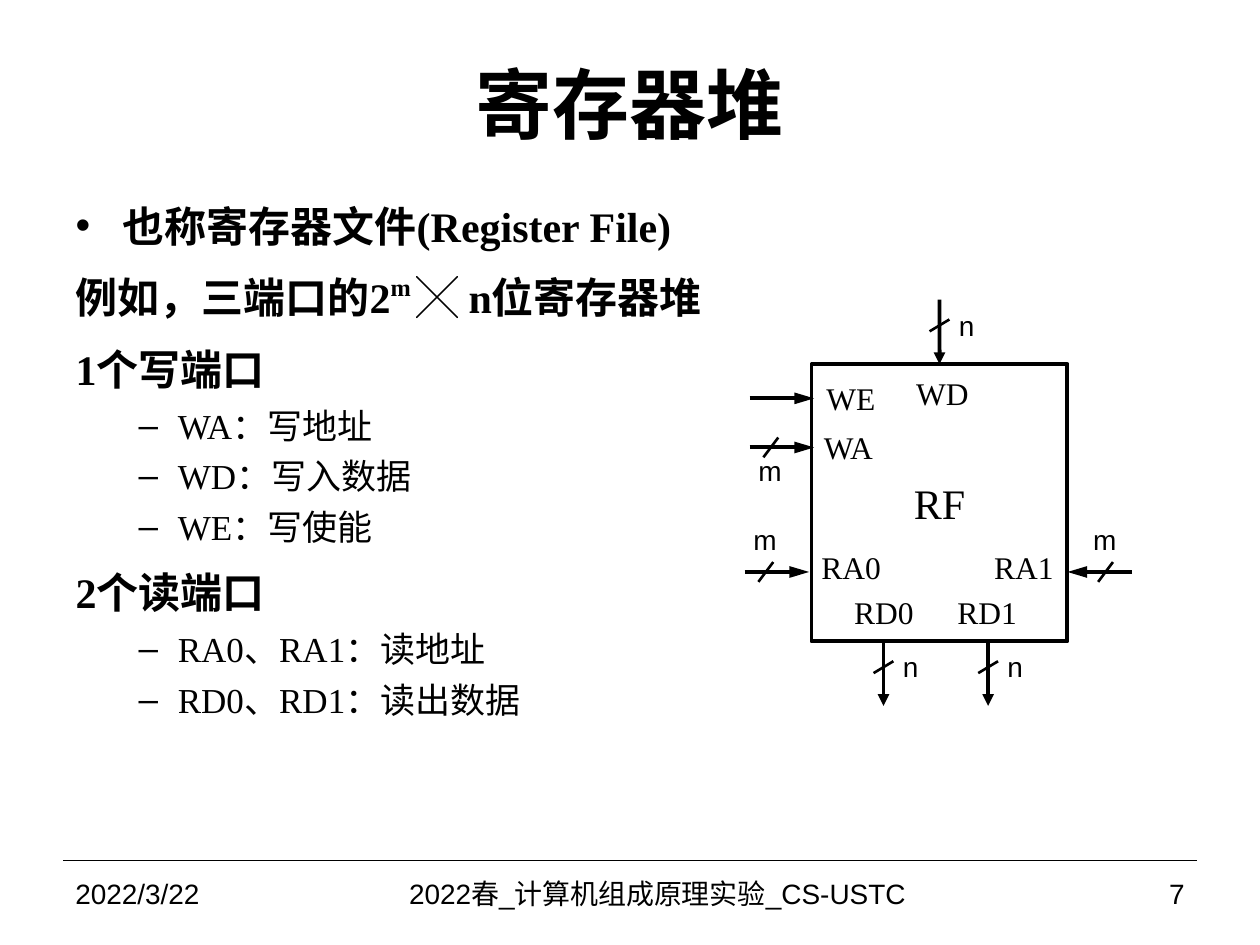
from lxml.etree import SubElement
from pptx import Presentation
from pptx.dml.color import RGBColor
from pptx.enum.shapes import MSO_CONNECTOR as CONN, MSO_SHAPE as SHAPE
from pptx.enum.text import MSO_ANCHOR as ANCHOR, MSO_AUTO_SIZE as AUTO, PP_ALIGN as ALIGN
from pptx.oxml.ns import qn
from pptx.util import Cm, Pt

BLACK = RGBColor(0, 0, 0)
SANS, SERIF, CJK = "Arial", "Times New Roman", "Noto Sans CJK SC"

BODY = [  # kind of line, then its runs
    ("bullet", ["也称寄存器文件(Register File)"]),
    ("plain", ["例如，三端口的2", "m ", "╳ ", "n位寄存器堆"]),
    ("plain", ["1个写端口"]),
    ("dash", ["WA：写地址"]),
    ("dash", ["WD：写入数据"]),
    ("dash", ["WE：写使能"]),
    ("plain", ["2个读端口"]),
    ("dash", ["RA0、RA1：读地址"]),
    ("dash", ["RD0、RD1：读出数据"]),
]
# level, bullet, size, left margin, hanging indent, space before, space after
STYLES = {
    "bullet": (0, "•", 24, 0.95, 0.95, 0, 6),
    "plain": (0, None, 24, 0.95, 0.95, 6, 6),
    "dash": (1, "–", 20, 2.06, 0.79, 0, 5),
}


def place(s, left, top, width, height):
    s.left, s.top, s.width, s.height = Cm(left), Cm(top), Cm(width), Cm(height)


def format_run(r, size, name, bold=False):
    r.font.size, r.font.name, r.font.bold = Pt(size), name, bold
    r.font.color.rgb = BLACK


def set_text(s, text, size, name, align=ALIGN.LEFT, bold=False):
    tf = s.text_frame
    tf.text = text
    p = tf.paragraphs[0]
    p.alignment = align
    format_run(p.runs[0], size, name, bold)
    return tf


def add_text(slide, box, text, size, name, align=ALIGN.LEFT):
    tf = set_text(slide.shapes.add_textbox(*map(Cm, box)), text, size, name, align)
    tf.word_wrap = False
    return tf


def clear_margins(tf):
    tf.margin_left = tf.margin_right = tf.margin_top = tf.margin_bottom = 0


def add_line(slide, x1, y1, x2, y2, width, arrow_length=None):
    s = slide.shapes.add_connector(CONN.STRAIGHT, Cm(x1), Cm(y1), Cm(x2), Cm(y2))
    s.line.color.rgb = BLACK
    s.line.width = Pt(width)
    if arrow_length:
        SubElement(s.line._get_or_add_ln(), qn("a:tailEnd"), type="triangle", len=arrow_length)
    SubElement(s._element.spPr, qn("a:effectLst"))
    return s


def add_title(slide, left, top, width, height):
    s = slide.shapes.title
    place(s, left, top, width, height)
    tf = set_text(s, "寄存器堆", 44, SANS, ALIGN.CENTER, True)
    tf.vertical_anchor = ANCHOR.MIDDLE
    tf.auto_size = AUTO.NONE


def style_paragraph(p, kind):
    level, bullet, size, margin, hanging, before, after = STYLES[kind]
    p.level = level
    p.space_before, p.space_after = Pt(before), Pt(after)
    pPr = p._p.get_or_add_pPr()
    pPr.set("marL", str(Cm(margin)))
    pPr.set("indent", str(-Cm(hanging)))
    if bullet:
        SubElement(pPr, qn("a:buFont"), typeface=SANS)
        SubElement(pPr, qn("a:buChar"), char=bullet)
    else:
        SubElement(pPr, qn("a:buNone"))
    for r in p.runs:
        format_run(r, size, CJK if "╳" in r.text else SERIF, level == 0)
        if r.text == "m ":
            r._r.get_or_add_rPr().set("baseline", "40000")


def add_body(slide, left, top, width, height):
    s = slide.placeholders[1]
    place(s, left, top, width, height)
    tf = s.text_frame
    tf.auto_size = AUTO.NONE
    for i, (kind, parts) in enumerate(BODY):
        p = tf.add_paragraph() if i else tf.paragraphs[0]
        for part in parts:
            p.add_run().text = part
        style_paragraph(p, kind)


def add_signal(slide, x1, y1, x2, y2, bits=None, at=0.4, label_dy=0.25):
    """Arrow, crossed at the fraction `at` by a slash that carries a bus width."""
    upright = x1 == x2
    arrow = add_line(slide, x1, y1, x2, y2, 2.25, "med" if upright else "lg")
    if bits:
        x, y = x1 + at * (x2 - x1), y1 + at * (y2 - y1)
        dx, dy = (0.2, 0.12) if upright else (0.15, 0.2)
        add_line(slide, x + dx, y - dy, x - dx, y + dy, 1.5)
        label = (x + 0.39, y1 + label_dy) if upright else (x - 0.25, y + label_dy)
        width = 0.32 if bits == "n" else 0.5
        tf = add_text(slide, (*label, width, 0.61), bits, 16, SANS)
        clear_margins(tf)
        tf.paragraphs[0].line_spacing = 0.9
    return arrow


def add_register_file(slide, left, top, width, height):
    block = slide.shapes.add_shape(SHAPE.RECTANGLE, *map(Cm, (left, top, width, height)))
    block.shadow.inherit = False
    block.fill.background()
    block.line.color.rgb = BLACK
    block.line.width = Pt(2.25)
    tf = set_text(block, "RF", 24, SERIF, ALIGN.CENTER)
    tf.vertical_anchor = ANCHOR.MIDDLE
    clear_margins(tf)

    ports = [
        ("RD0", 0.56, 4.5, ALIGN.CENTER),
        ("RD1", 2.64, 4.5, ALIGN.CENTER),
        ("WD", 1.74, 0.08, ALIGN.CENTER),
        ("WA", 0, 1.17, ALIGN.LEFT),
        ("RA0", -0.05, 3.58, ALIGN.LEFT),
        ("RA1", 3.33, 3.58, ALIGN.RIGHT),
        ("WE", 0.05, 0.18, ALIGN.LEFT),
    ]
    for name, x, y, align in ports:
        add_text(slide, (left + x, top + y, 1.8, 1.02), name, 18, SERIF, align)

    reach = 1.3
    right, bottom, middle = left + width, top + height, left + width / 2
    for x in (left + 1.45, left + 3.56):
        add_signal(slide, x, bottom, x, bottom + reach, "n")
    write_data = add_signal(slide, middle, top - reach, middle, top, "n")
    write_data.end_connect(block, 0)

    read_y = top + 4.19
    add_signal(slide, right + reach, read_y, right, read_y, "m", 0.41, -0.91)
    for x, y, bits, label_dy in [(-0.05, 4.19, "m", -0.91),
                                 (0.05, 1.68, "m", 0.2),
                                 (0.05, 0.69, None, 0)]:
        end = left + x
        add_signal(slide, end - reach, top + y, end, top + y, bits, 0.33, label_dy)


def add_footer(slide, left, top, width, height):
    add_line(slide, left, top, left + width, top, 0.75)
    x = left
    for text, w, align in [("2022/3/22", 5.92, ALIGN.LEFT),
                           ("2022春_计算机组成原理实验_CS-USTC ", 12.28, ALIGN.CENTER),
                           ("7", 4.66, ALIGN.RIGHT)]:
        tf = add_text(slide, (x, top, w, height), text, 16, SANS, align)
        tf.word_wrap = True
        tf.vertical_anchor = ANCHOR.MIDDLE
        x += w


def main():
    prs = Presentation()
    prs.slide_width, prs.slide_height = Cm(25.4), Cm(19.05)
    slide = prs.slides.add_slide(prs.slide_layouts[1])
    add_title(slide, 1.27, 0.48, 22.86, 3.18)
    add_body(slide, 1.27, 3.91, 22.86, 13.59)
    add_register_file(slide, 16.36, 7.34, 5.16, 5.59)
    add_footer(slide, 1.27, 17.35, 22.86, 1.32)
    prs.save("out.pptx")


if __name__ == "__main__":
    main()
